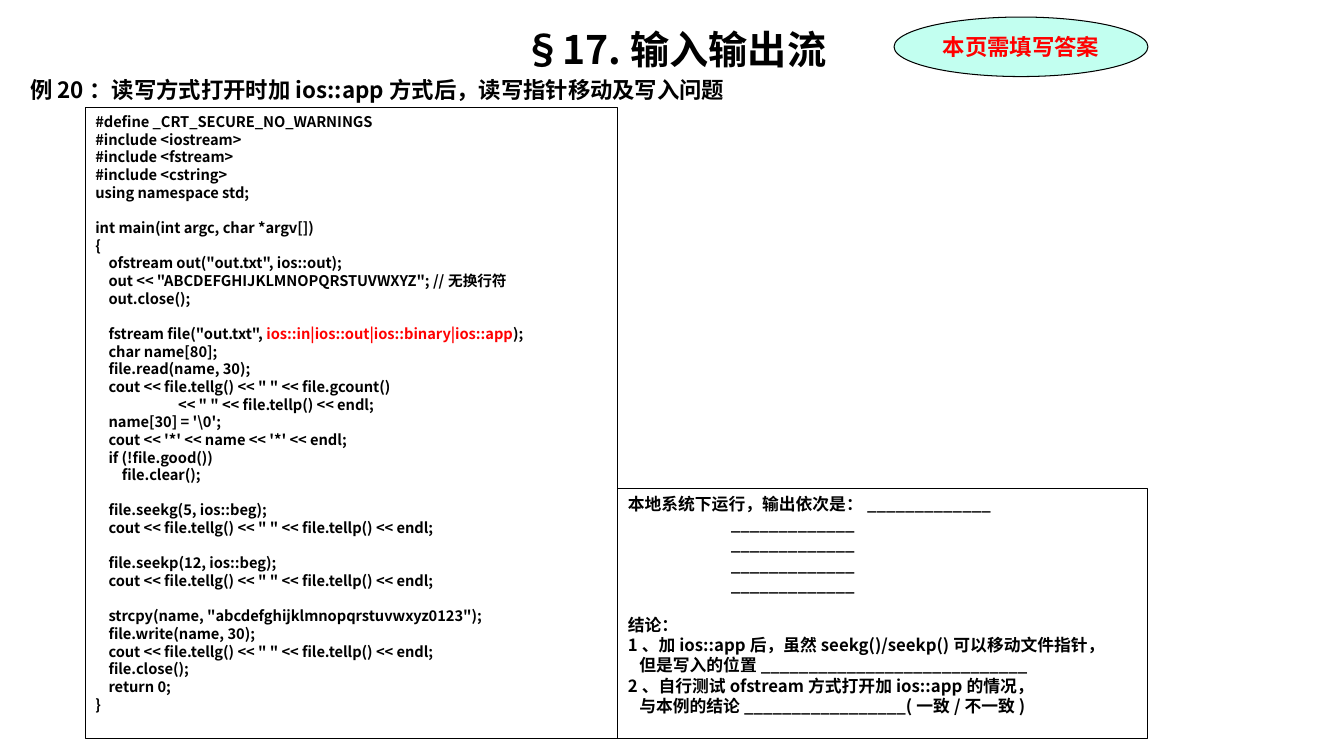
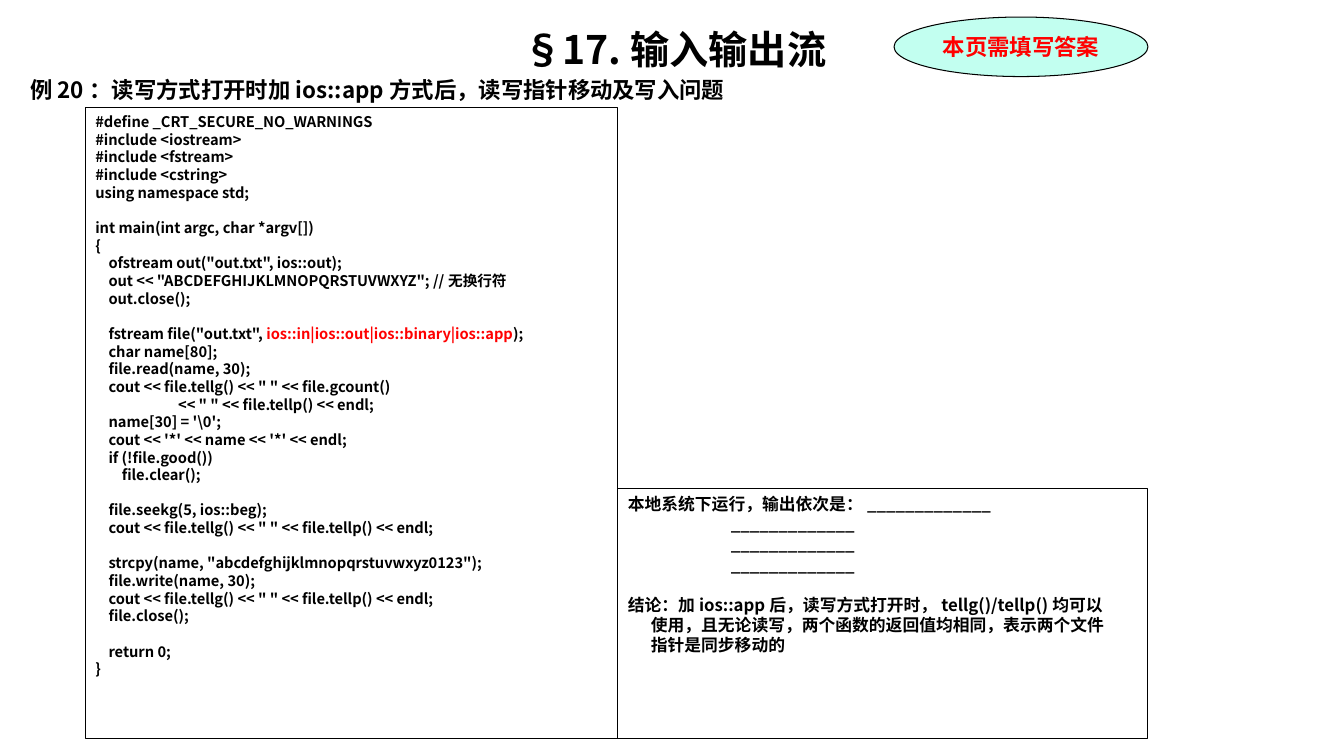
from lxml import etree
from pptx import Presentation, util as u
from pptx.dml.color import RGBColor
from pptx.enum import shapes, text
from pptx.oxml.ns import qn

SANS, SERIF = "Noto Sans CJK SC", "Times New Roman"
BLACK, RED, MINT = "000000", "FF0000", "C2FFF0"
LINE_RATIO = 1.2
LEFT, MIDDLE, RIGHT = 61, 441.4, 820
CODE_TOP, ANSWER_TOP, BOTTOM = 77, 349.2, 527.8

OPEN_MODE = "ios::in|ios::out|ios::binary|ios::app"
REPORT = '    cout << file.tellg() << " " << file.tellp() << endl;'
CODE_HEAD = r"""#define _CRT_SECURE_NO_WARNINGS
#include <iostream>
#include <fstream>
#include <cstring>
using namespace std;

int main(int argc, char *argv[])
{
    ofstream out("out.txt", ios::out);
    out << "ABCDEFGHIJKLMNOPQRSTUVWXYZ"; //无换行符
    out.close();

    fstream file("out.txt", ios::in|ios::out|ios::binary|ios::app);
    char name[80];
    file.read(name, 30);
    cout << file.tellg() << " " << file.gcount()
                         << " " << file.tellp() << endl;
    name[30] = '\0';
    cout << '*' << name << '*' << endl;
    if (!file.good())
        file.clear();
""".splitlines() + ["", "    file.seekg(5, ios::beg);", REPORT, ""]
SEEKP_STEP = ["    file.seekp(12, ios::beg);", REPORT, ""]
WRITE_STEP = ['    strcpy(name, "abcdefghijklmnopqrstuvwxyz0123");',
              "    file.write(name, 30);", REPORT, "    file.close();"]
CODE_END = ["    return 0;", "}"]

BLANK = "_" * 13
CONCLUSIONS = [
    ("结论：", 0),
    ("1、加ios::app后，虽然seekg()/seekp()可以移动文件指针，\n但是写入的位置" + "_" * 28, 8.2),
    ("2、自行测试ofstream方式打开加ios::app的情况，\n与本例的结论" + "_" * 17 + "(一致/不一致)", 8.2),
]
SYNC_CONCLUSION = [
    ("结论：加ios::app后，读写方式打开时，tellg()/tellp()均可以\n"
     "使用，且无论读写，两个函数的返回值均相同，表示两个文件\n指针是同步移动的", 16.4),
]


def rgb(value):
    """Turn a hex string into a colour."""
    return RGBColor.from_string(value)


class Deck:
    """Holds the shared style and the current slide."""

    FRAME = {"word_wrap": True, "auto_size": text.MSO_AUTO_SIZE.NONE,
             "margin_left": u.Pt(7.2), "margin_right": u.Pt(7.2),
             "margin_top": u.Pt(3.6), "margin_bottom": u.Pt(3.6)}

    def __init__(self):
        """Start an empty widescreen presentation."""
        self.prs = Presentation()
        self.prs.slide_width, self.prs.slide_height = u.Pt(960), u.Pt(540)
        self.slide = None

    def frame(self, shape, anchor=text.MSO_ANCHOR.TOP):
        """Format the text frame of a shape and return it."""
        for key, value in {**self.FRAME, "vertical_anchor": anchor}.items():
            setattr(shape.text_frame, key, value)
        return shape.text_frame

    def paragraph(self, frame, size, align=text.PP_ALIGN.LEFT, gap=0, left=0, first=0):
        """Return the next paragraph of a frame, formatted."""
        last = frame.paragraphs[-1]
        para = frame.add_paragraph() if last.runs else last
        spacing = {"alignment": align, "line_spacing": u.Pt(size * LINE_RATIO),
                   "space_before": u.Pt(gap), "space_after": u.Pt(0)}
        for key, value in spacing.items():
            setattr(para, key, value)
        props = para._p.get_or_add_pPr()
        props.set("marL", str(u.Pt(left)))
        props.set("indent", str(u.Pt(first)))
        return para

    def run(self, para, words, size, color=BLACK, face=SANS):
        """Add bold words to a paragraph."""
        run = para.add_run()
        run.text = words
        for key, value in {"name": face, "size": u.Pt(size), "bold": True}.items():
            setattr(run.font, key, value)
        run.font.color.rgb = rgb(color)
        east_asian = etree.SubElement(run._r.get_or_add_rPr(), qn("a:ea"))
        east_asian.set("typeface", SANS)

    def heading(self, title, topic):
        """Start a slide with its chapter title and example topic."""
        self.slide = self.prs.slides.add_slide(self.prs.slide_layouts[5])
        chapter = self.slide.shapes.title
        place = {"left": 14.4, "top": 14.5, "width": 935, "height": 40}
        for key, value in place.items():
            setattr(chapter, key, u.Pt(value))
        para = self.paragraph(self.frame(chapter), 28, text.PP_ALIGN.CENTER)
        self.run(para, title, 28)
        example = self.slide.shapes.add_textbox(*map(u.Pt, (14.4, 50.5, 935, 26)))
        self.run(self.paragraph(self.frame(example), 16), topic, 16)

    def outlined(self, kind, left, top, right, bottom, fill=None):
        """Draw a thinly outlined shape between two corners."""
        shape = self.slide.shapes.add_shape(
            kind, *map(u.Pt, (left, top, right - left, bottom - top)))
        shape.shadow.inherit = False
        if fill:
            shape.fill.solid()
            shape.fill.fore_color.rgb = rgb(fill)
        else:
            shape.fill.background()
        shape.line.color.rgb = rgb(BLACK)
        shape.line.width = u.Pt(0.75)
        return shape

    def badge(self, words):
        """Draw the oval reminder at the top right."""
        oval = self.outlined(shapes.MSO_SHAPE.OVAL, 638.6, 12.2, RIGHT, 54.7, MINT)
        frame = self.frame(oval, text.MSO_ANCHOR.MIDDLE)
        para = self.paragraph(frame, 16, text.PP_ALIGN.CENTER)
        self.run(para, words, 16, RED, SERIF)

    def code(self, lines, size=10.5):
        """Draw the code panel, with the open mode in red."""
        panel = self.outlined(shapes.MSO_SHAPE.RECTANGLE, LEFT, CODE_TOP, MIDDLE, BOTTOM)
        frame, gap = self.frame(panel), 0
        for line in lines:
            if not line:
                gap = size * LINE_RATIO
                continue
            para = self.paragraph(frame, size, gap=gap)
            gap = 0
            before, mode, after = line.partition(OPEN_MODE)
            for words, color in ((before, BLACK), (mode, RED), (after, BLACK)):
                if words:
                    self.run(para, words, size, color)

    def answers(self, blanks, conclusions, size=12):
        """Draw the answer panel with blanks and hanging conclusions."""
        panel = self.outlined(shapes.MSO_SHAPE.RECTANGLE, MIDDLE, ANSWER_TOP, RIGHT, BOTTOM)
        frame = self.frame(panel)
        self.run(self.paragraph(frame, size), "本地系统下运行，输出依次是：" + BLANK, size)
        for _ in range(blanks - 1):
            self.run(self.paragraph(frame, size, left=73.6), BLANK, size)
        gap = size * LINE_RATIO
        for words, hang in conclusions:
            para = self.paragraph(frame, size, gap=gap, left=hang, first=-hang)
            gap = 0
            for number, line in enumerate(words.split("\n")):
                if number:
                    para.add_line_break()
                self.run(para, line, size)


def main():
    """Build both slides and save them."""
    deck = Deck()
    pages = [
        (CODE_HEAD + SEEKP_STEP + WRITE_STEP + CODE_END, 5, CONCLUSIONS),
        (CODE_HEAD + WRITE_STEP + [""] + CODE_END, 4, SYNC_CONCLUSION),
    ]
    for code, blanks, conclusions in pages:
        deck.heading("§17.输入输出流", "例20：读写方式打开时加ios::app方式后，读写指针移动及写入问题")
        deck.badge("本页需填写答案")
        deck.code(code)
        deck.answers(blanks, conclusions)
    deck.prs.save("out.pptx")


if __name__ == "__main__":
    main()
